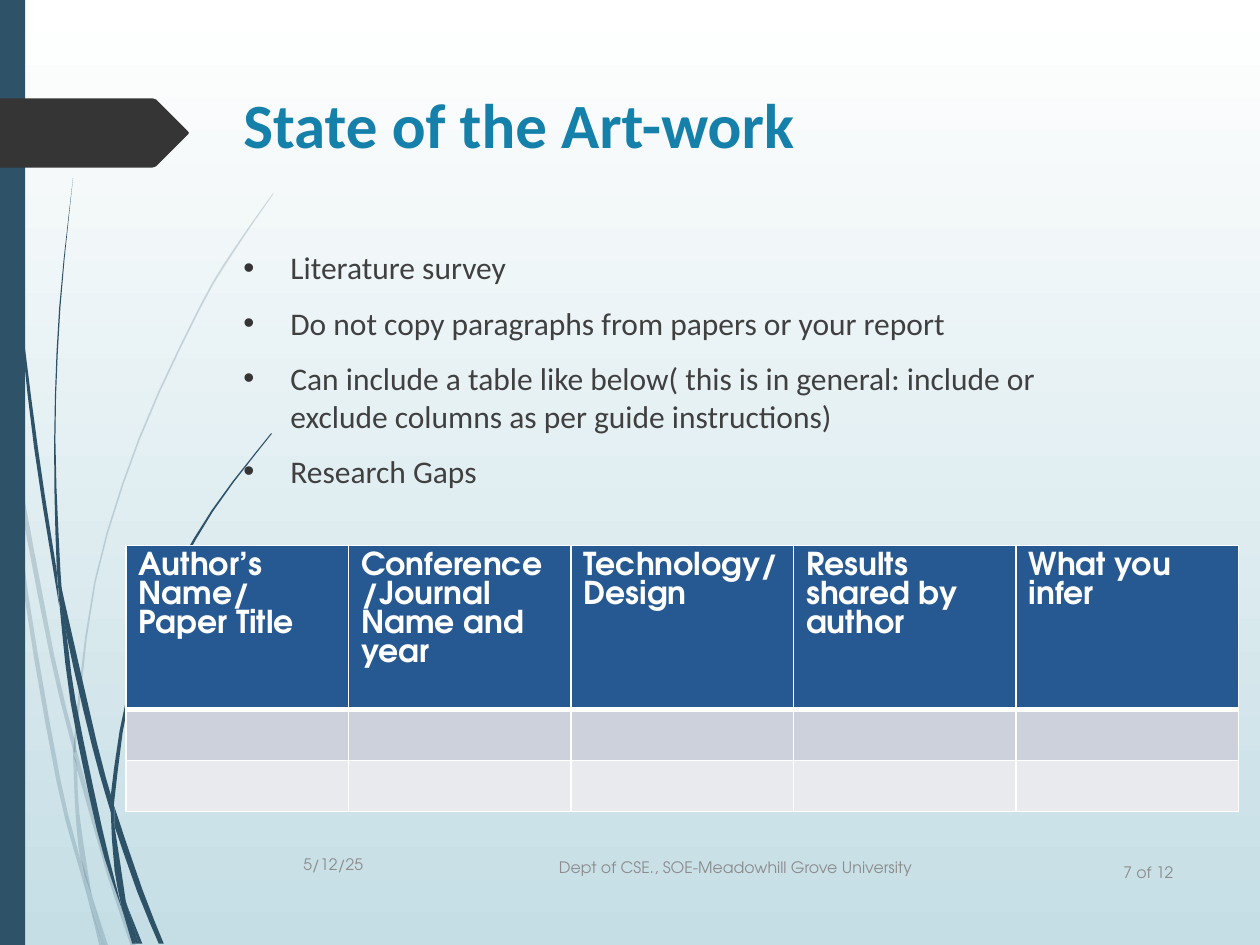
from lxml.etree import SubElement
from pptx import Presentation
from pptx.dml.color import RGBColor
from pptx.enum.shapes import MSO_SHAPE
from pptx.enum.text import MSO_ANCHOR as Anchor, MSO_AUTO_SIZE as AutoSize, PP_ALIGN as Align
from pptx.oxml import parse_xml
from pptx.oxml.ns import nsdecls, qn
from pptx.util import Cm, Pt

TITLE = "State of the Art-work"
BULLETS = [
    "Literature survey",
    "Do not copy paragraphs from papers or your report",
    "Can include a table like below( this is in general: include or exclude columns"
    " as per guide instructions)",
    "Research Gaps",
]
HEADERS = ["Author’s Name/ Paper Title", "Conference/Journal Name and year",
           "Technology/ Design", "Results shared by author", "What you infer"]
# text, left, top, width (cm), alignment
FOOTERS = [
    ("5/12/25", 4.6, 16.92, 2.97, Align.RIGHT),
    ("Dept of CSE., SOE-Meadowhill Grove University", 8.05, 16.97, 13.54, Align.CENTER),
    ("7 of 12", 22.07, 17.07, 2.16, Align.CENTER),
]
COLORS = {"sky": "FFFFFF", "mist": "C5DEE5", "stem": "2E5369", "arrow": "353535",
          "title": "1581AA", "body": "404040", "footer": "8C8C8C", "white": "FFFFFF",
          "header": "265991", "band_dark": "CDD1DC", "band_light": "E8EAEE"}
BODY_FONT, DECK_FONT = "Calibri", "TeX Gyre Adventor"
ROW_HEIGHTS = [3.3, 1.02, 1.02]
ROW_FILLS = ["header", "band_dark", "band_light"]

# Grass blades: each outline is two smooth edges, on a grid of GRID cm
GRID = 0.0254
PALE_BLADES = [
    ([(8, 350), (6, 322), (0, 282)], [(0, 299), (7, 344), (8, 350)]),
    ([(10, 345), (43, 520), (59, 586)], [(59, 599), (40, 522), (12, 376), (10, 345)]),
    ([(61, 596), (64, 607), (88, 692), (108, 751)], [(104, 751), (85, 694), (61, 610)]),
    ([(73, 711), (86, 751)], [(83, 751), (73, 711)]),
    ([(8, 350), (12, 376), (22, 469), (48, 619), (64, 683), (70, 714)],
     [(64, 693), (45, 621), (19, 470), (8, 350)]),
    ([(58, 599), (60, 646), (64, 683), (73, 711)], [(72, 706), (63, 646), (61, 608), (58, 599)]),
    ([(61, 596), (61, 584), (76, 462), (111, 349), (159, 245), (187, 198), (217, 154)],
     [(217, 153), (186, 197), (158, 244), (110, 348), (75, 461), (59, 584), (61, 596)]),
    ([(70, 714), (79, 751)], [(82, 751), (70, 714)]),
    ([(61, 608), (61, 596)], [(59, 586), (58, 599)]),
    ([(65, 683), (70, 714), (82, 751)], [(83, 751), (73, 711), (65, 683)]),
]
DARK_BLADES = [
    ([(2, 0), (5, 110), (14, 233), (27, 355), (47, 481)],
     [(45, 453), (30, 355), (15, 232), (6, 109), (3, 0)]),
    ([(50, 472), (77, 590), (88, 631)], [(88, 645), (73, 592), (53, 505), (50, 472)]),
    ([(91, 641), (113, 706), (130, 749)], [(126, 749), (109, 708), (91, 656)]),
    ([(47, 477), (53, 505), (60, 556), (81, 657), (97, 722)],
     [(92, 708), (77, 659), (56, 557), (47, 477)]),
    ([(50, 472), (48, 453), (44, 349), (48, 244), (58, 141)],
     [(58, 141), (47, 244), (43, 349), (45, 449), (49, 472)]),
    ([(101, 719), (113, 749)], [(110, 749), (101, 719)]),
    ([(47, 477), (53, 505)], [(50, 472), (45, 449)]),
    ([(91, 641), (91, 633), (103, 552), (131, 476), (169, 406), (216, 344)],
     [(215, 344), (168, 405), (129, 474), (101, 551), (88, 631), (91, 641)]),
    ([(97, 722), (105, 749)], [(108, 749), (97, 722)]),
    ([(88, 645), (91, 691), (101, 719)], [(100, 716), (91, 656), (88, 645)]),
    ([(88, 645), (91, 656)], [(91, 641), (88, 631)]),
    ([(91, 691), (97, 722), (108, 749)], [(110, 749), (101, 719), (91, 691)]),
]
ARROW = [(0, 78), (121, 78), (124, 79), (149, 104), (150, 105.5), (149, 107),
         (124, 132), (121, 133), (0, 133)]


def rgb(name):
    return RGBColor.from_string(COLORS[name])


def smooth(knots):
    """Catmull-Rom curve through the knots, finer for longer edges."""
    steps = min(len(knots) - 1, 3)
    padded = [knots[0], *knots, knots[-1]]
    points = [knots[0]]
    for a, b, c, d in zip(padded, padded[1:], padded[2:], padded[3:]):
        for step in range(1, steps + 1):
            t = step / steps
            points.append(tuple(
                q + t / 2 * (r - p + t * (2 * p - 5 * q + 4 * r - s + t * (3 * (q - r) + s - p)))
                for p, q, r, s in zip(a, b, c, d)))
    return points


def paint(shape, color, opacity=None):
    shape.shadow.inherit = False
    shape.fill.solid()
    shape.fill.fore_color.rgb = rgb(color)
    shape.line.fill.background()
    if opacity:
        tint = shape._element.spPr.find(qn("a:solidFill"))[0]
        SubElement(tint, qn("a:alpha"), val=str(opacity * 1000))


def add_outline(shapes, points, color, opacity=None):
    spots = [(Cm(x * GRID), Cm(y * GRID)) for x, y in points]
    builder = shapes.build_freeform(*spots[0])
    builder.add_line_segments(spots[1:], close=True)
    paint(builder.convert_to_shape(), color, opacity)


def write(para, text, size, font, color, bold=False):
    span = para.add_run()
    span.text = text
    span.font.size, span.font.name, span.font.bold = Pt(size), font, bold
    span.font.color.rgb = rgb(color)


def place(box, left, top, width, height, anchor):
    box.left, box.top, box.width, box.height = map(Cm, (left, top, width, height))
    frame = box.text_frame
    frame.word_wrap, frame.auto_size, frame.vertical_anchor = True, AutoSize.NONE, anchor
    return frame


def add_bullet(para):
    props = para._p.get_or_add_pPr()
    props.set("marL", str(Cm(0.95)))
    props.set("indent", str(-Cm(0.95)))
    color = SubElement(props, qn("a:buClr"))
    SubElement(color, qn("a:srgbClr"), val=COLORS["arrow"])
    SubElement(props, qn("a:buFont"), typeface="Arial")
    SubElement(props, qn("a:buChar"), char="•")


def set_borders(cell, **widths):
    """Draw white borders; widths in points by side: L, R, T, B."""
    props = cell._tc.get_or_add_tcPr()
    for index, side in enumerate("LRTB"):
        props.insert(index, parse_xml(
            f'<a:ln{side} {nsdecls("a")} w="{Pt(widths.get(side, 1))}"><a:solidFill>'
            f'<a:srgbClr val="{COLORS["white"]}"/></a:solidFill></a:ln{side}>'))


def add_survey_table(shapes):
    table = shapes.add_table(len(ROW_HEIGHTS), len(HEADERS), Cm(2.54), Cm(11),
                             Cm(22.43), Cm(sum(ROW_HEIGHTS))).table
    for number, (row, height, fill) in enumerate(zip(table.rows, ROW_HEIGHTS, ROW_FILLS)):
        row.height = Cm(height)
        for cell, header in zip(row.cells, HEADERS):
            cell.fill.solid()
            cell.fill.fore_color.rgb = rgb(fill)
            set_borders(cell, **({"B": 3}, {"T": 3}, {})[number])
            if number == 0:
                write(cell.text_frame.paragraphs[0], header, 18, DECK_FONT, "white", True)


def main():
    deck = Presentation()
    deck.slide_width, deck.slide_height = Cm(25.4), Cm(19.05)
    page = deck.slides.add_slide(deck.slide_layouts[1])
    shapes = page.shapes
    title, body = page.placeholders

    backdrop = page.background.fill
    backdrop.gradient()
    backdrop.gradient_angle = 270
    for stop, name in zip(backdrop.gradient_stops, ("sky", "mist")):
        stop.color.rgb = rgb(name)

    for blades, opacity in ((PALE_BLADES, 20), (DARK_BLADES, None)):
        for edge, back in blades:
            add_outline(shapes, smooth(edge) + smooth(back), "stem", opacity)
    paint(shapes.add_shape(MSO_SHAPE.RECTANGLE, 0, 0, Cm(0.51), deck.slide_height), "stem")
    add_outline(shapes, ARROW, "arrow")

    for holder in (title, body):  # bring the text in front of the grass
        holder._element.getparent().append(holder._element)
    para = place(title, 4.65, 1.6, 18.31, 2.08, Anchor.TOP).paragraphs[0]
    para.alignment = Align.LEFT
    write(para, TITLE, 36, BODY_FONT, "title", True)

    frame = place(body, 4.65, 4.88, 18.31, 3.38, Anchor.TOP)
    for number, text in enumerate(BULLETS):
        para = frame.add_paragraph() if number else frame.paragraphs[0]
        para.space_before = Pt(10)
        add_bullet(para)
        write(para, text, 18, BODY_FONT, "body")

    add_survey_table(shapes)
    for text, left, top, width, alignment in FOOTERS:
        box = shapes.add_textbox(0, 0, 0, 0)
        para = place(box, left, top, width, 1.02, Anchor.MIDDLE).paragraphs[0]
        para.alignment = alignment
        write(para, text, 9, DECK_FONT, "footer")
    deck.save("out.pptx")


if __name__ == "__main__":
    main()
